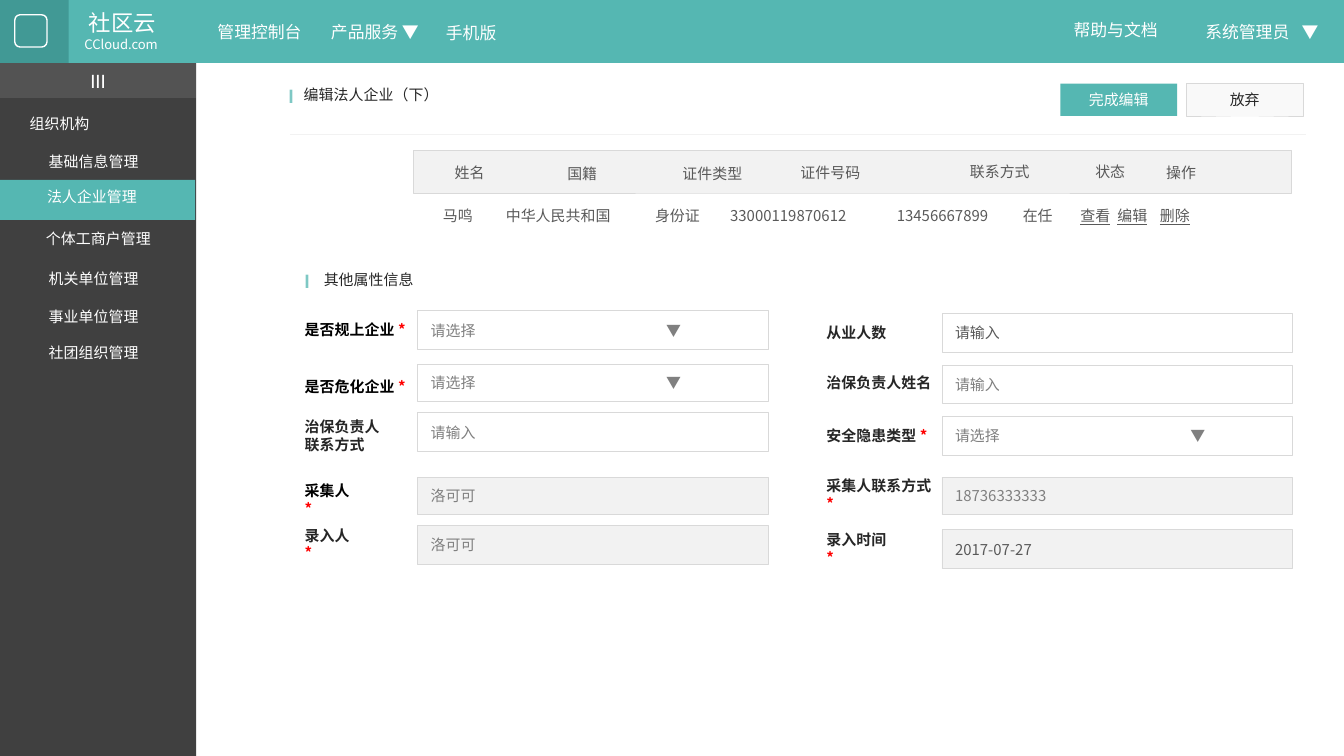
import pptx
import pptx.dml.color
import pptx.enum.shapes
import pptx.enum.text
import pptx.oxml.ns
import pptx.util
from lxml import etree

Cm = pptx.util.Cm
RGBColor = pptx.dml.color.RGBColor
SHAPE = pptx.enum.shapes.MSO_SHAPE
ALIGN = pptx.enum.text.PP_ALIGN
ANCHOR = pptx.enum.text.MSO_ANCHOR
qn = pptx.oxml.ns.qn

WHITE = RGBColor(0xFF, 0xFF, 0xFF)
BLACK = RGBColor(0x00, 0x00, 0x00)
INK = RGBColor(0x26, 0x26, 0x26)
DARK = RGBColor(0x40, 0x40, 0x40)
TEXT = RGBColor(0x59, 0x59, 0x59)
HINT = RGBColor(0x80, 0x80, 0x80)
BORDER = RGBColor(0xD9, 0xD9, 0xD9)
PALE = RGBColor(0xF2, 0xF2, 0xF2)
BUTTON = RGBColor(0xF9, 0xF9, 0xF9)
TEAL = RGBColor(0x55, 0xB7, 0xB2)
DEEP_TEAL = RGBColor(0x41, 0x99, 0x95)
LIGHT_TEAL = RGBColor(0x7E, 0xC8, 0xC4)
RED = RGBColor(0xFF, 0x00, 0x00)
CJK = "Noto Sans CJK SC"


def add_panel(shapes, box, fill=None, line=None, weight=0.25, kind=SHAPE.RECTANGLE):
    """Add a preset shape with an optional fill and outline."""
    panel = shapes.add_shape(kind, *map(Cm, box))
    panel.shadow.inherit = False
    if fill is None:
        panel.fill.background()
    else:
        panel.fill.solid()
        panel.fill.fore_color.rgb = fill
    if line is None:
        panel.line.fill.background()
    else:
        panel.line.color.rgb = line
        panel.line.width = pptx.util.Pt(weight)
    return panel


def set_tabs(paragraph, tabs):
    """Set left tab stops, given in centimetres."""
    tab_list = etree.SubElement(paragraph._p.get_or_add_pPr(), qn("a:tabLst"))
    for stop in tabs:
        etree.SubElement(tab_list, qn("a:tab"), pos=str(int(Cm(stop))), algn="l")


def add_text(holder, text, size=8, color=INK, bold=False, align=ALIGN.LEFT, anchor=ANCHOR.MIDDLE,
             font=CJK, tabs=(), inset=(0.25, 0.13)):
    """Write a string or (string, format) runs; a line feed starts a paragraph, \\v a line."""
    frame = holder.text_frame
    frame.word_wrap = True
    frame.vertical_anchor = anchor
    frame.margin_left = frame.margin_right = Cm(inset[0])
    frame.margin_top = frame.margin_bottom = Cm(inset[1])
    paragraph = frame.paragraphs[0]
    paragraph.alignment = align
    if tabs:
        set_tabs(paragraph, tabs)
    for words, style in [(text, {})] if isinstance(text, str) else text:
        for number, part in enumerate(words.split("\n")):
            if number:
                paragraph = frame.add_paragraph()
                paragraph.alignment = align
            if part.startswith("\v"):
                paragraph.add_line_break()
            run = paragraph.add_run()
            run.text = part.lstrip("\v")
            run.font.size = pptx.util.Pt(size)
            run.font.name = font
            run.font.bold = style.get("bold", bold)
            run.font.underline = style.get("underline", False)
            run.font.color.rgb = style.get("color", color)
            etree.SubElement(run.font._element, qn("a:ea"), typeface=font)


def add_label(shapes, text, box, **style):
    """Add a text box with formatted text."""
    add_text(shapes.add_textbox(*map(Cm, box)), text, **style)


def add_sidebar(slide, box):
    """Draw the dark navigation column."""
    left, top, width, height = box
    add_panel(slide.shapes, box, DARK)
    toggle = add_panel(slide.shapes, (left, top + 0.02, width, 0.66), WHITE)
    tint = toggle.fill._xPr.find(".//" + qn("a:srgbClr"))
    etree.SubElement(tint, qn("a:alpha"), val="10000")
    add_text(toggle, "III", size=11, color=WHITE, align=ALIGN.CENTER, font="Calibri")
    add_panel(slide.shapes, (left, top + 2.23, width - 0.02, 0.76), TEAL)
    menu = [("组织机构", 0.38, 0.89), ("基础信息管理", 0.74, 1.62), ("法人企业管理", 0.71, 2.28),
            ("个体工商户管理", 0.69, 3.07), ("机关单位管理", 0.74, 3.83),
            ("事业单位管理", 0.74, 4.55), ("社团组织管理", 0.74, 5.23)]
    for entry, x, y in menu:
        add_label(slide.shapes, entry, (left + x, top + y, 2.59, 0.53), color=WHITE,
                  anchor=ANCHOR.TOP, inset=(0.18, 0.1))


def add_header(slide, box):
    """Draw the top bar with the site name and its links."""
    left, top, width, height = box
    shapes = slide.shapes.add_group_shape().shapes
    add_panel(shapes, box, TEAL)
    add_panel(shapes, (left, top, 1.3, height), DEEP_TEAL)
    add_panel(shapes, (left + 0.28, top + 0.28, 0.61, 0.61), line=WHITE, weight=0.75,
              kind=SHAPE.ROUNDED_RECTANGLE)
    links = [("管理控制台", 3.61, 0.28, 2.59, 9),
             ([("产品服务 ", {}), ("▼", {"bold": True})], 5.89, 0.28, 2.39, 9),
             ("手机版", 7.9, 0.3, 2.01, 9), ("帮助与文档", 19.89, 0.25, 2.39, 9),
             ("社区云", 1.12, 0.05, 2.39, 12), ("CCloud.com", 1.07, 0.56, 2.44, 7)]
    for text, x, y, link_width, size in links:
        add_label(shapes, text, (left + x, top + y, link_width, 0.64), size=size,
                  color=WHITE, align=ALIGN.CENTER, anchor=ANCHOR.TOP)
    add_label(shapes, "系统管理员\t▼", (left + 22.53, top + 0.28, 2.79, 0.64), size=9,
              color=WHITE, anchor=ANCHOR.TOP, tabs=[1.82])


def add_heading(slide, title, box, gap):
    """Draw a section title after a short teal mark."""
    left, top, width, height = box
    add_label(slide.shapes, title, (left + gap, top + 0.04, width - gap, 0.61), anchor=ANCHOR.TOP)
    add_label(slide.shapes, "I", (left, top, 0.79, height), size=11, color=LIGHT_TEAL,
              bold=True, align=ALIGN.CENTER, font="Calibri")


def add_toolbar(slide, box):
    """Draw the two buttons and the rule below them."""
    left, top, width, height = box
    buttons = [("完成编辑", 4.6, TEAL, None, WHITE), ("放弃", 2.22, BUTTON, BORDER, INK)]
    for caption, from_right, fill, line, color in buttons:
        button_box = (left + width - from_right - 0.05, top, 2.21, 0.61)
        add_text(add_panel(slide.shapes, button_box, fill, line), caption, color=color,
                 align=ALIGN.CENTER)
    ends = (left, top + height, left + width, top + height)
    rule = slide.shapes.add_connector(pptx.enum.shapes.MSO_CONNECTOR.STRAIGHT, *map(Cm, ends))
    rule.line.color.rgb = PALE
    rule.line.width = pptx.util.Pt(0.25)
    etree.SubElement(rule._element.spPr, qn("a:effectLst"))


def add_people(slide, box):
    """Draw the heading band and the row of people below it."""
    left, top, width, height = box
    add_panel(slide.shapes, (left, top, width, 0.81), PALE, BORDER)
    columns = [("姓名", 0.05, 0.1, 2.01, ALIGN.CENTER), ("国籍", 1.98, 0.13, 2.41, ALIGN.CENTER),
               ("证件类型", 4.35, 0.13, 2.59, ALIGN.CENTER),
               ("证件号码", 6.58, 0.1, 2.59, ALIGN.CENTER),
               ("联系方式", 10.26, 0.08, 1.68, ALIGN.LEFT),
               ("状态", 12.63, 0.08, 1.68, ALIGN.LEFT), ("操作", 13.97, 0.1, 2.01, ALIGN.LEFT)]
    for title, x, y, column_width, align in columns:
        add_label(slide.shapes, title, (left + x, top + y, column_width, 0.64), color=TEXT,
                  align=align)
    person = [("\t马鸣\t中华人民共和国\t身份证\t33000119870612\t13456667899\t在任", {})]
    for action in ("查看", "编辑", "删除"):
        person += [("\t", {}), (action, {"underline": True})]
    add_label(slide.shapes, person, (left + 0.05, top + 0.87, width - 0.05, height - 0.87),
              color=TEXT, tabs=[0.25, 1.44, 4.26, 5.68, 8.83, 11.21, 12.3, 13, 13.8])


def add_form(slide, box):
    """Draw the labelled fields in two columns."""
    left, top, width, height = box
    choose = [("请选择\t", {}), ("▼", {"bold": True})]
    columns = [
        (0, 2.38, [("是否规上企业", " *", BLACK, 0.05, choose, HINT, None, 0, 0.74),
                   ("是否危化企业", " *", BLACK, 1.14, choose, HINT, None, 1.01, 0.71),
                   ("治保负责人\n联系方式", "", INK, 2.05, "请输入", HINT, None, 1.93, 0.74),
                   ("采集人", "\v*", BLACK, 3.27, "洛可可", HINT, PALE, 3.15, 0.71),
                   ("录入人", "\v*", INK, 4.11, "洛可可", HINT, PALE, 4.06, 0.74)]),
        (9.86, 12.29, [("从业人数", "", INK, 0.12, "请输入", TEXT, None, 0.05, 0.74),
                       ("治保负责人姓名", "", INK, 1.06, "请输入", HINT, None, 1.04, 0.71),
                       ("安全隐患类型", " *", INK, 2.05, choose, HINT, None, 2, 0.74),
                       ("采集人联系方式", "\v*", INK, 3.17, "18736333333", HINT, PALE, 3.15, 0.71),
                       ("录入时间", "\v*", INK, 4.19, "2017-07-27", TEXT, PALE, 4.14, 0.74)])]
    for label_x, field_x, fields in columns:
        for label, star, color, label_y, value, value_color, fill, field_y, field_height in fields:
            runs = [(label, {})] + ([(star, {"color": RED})] if star else [])
            add_label(slide.shapes, runs, (left + label_x, top + label_y, 2.64, 0.61),
                      color=color, bold=True)
            field_box = (left + field_x, top + field_y, width - 12.29, field_height)
            add_text(add_panel(slide.shapes, field_box, fill, BORDER), value,
                     color=value_color, tabs=[4.45])


def main():
    """Build the edit page and save it."""
    deck = pptx.Presentation()
    deck.slide_width, deck.slide_height = Cm(25.4), Cm(14.29)
    slide = deck.slides.add_slide(deck.slide_layouts[6])
    add_sidebar(slide, (0, 1.17, 3.71, 13.12))
    add_header(slide, (0, 0, 25.4, 1.19))
    add_heading(slide, "编辑法人企业（下）", (5.11, 1.45, 5.18, 0.69), 0.38)
    add_toolbar(slide, (5.49, 1.58, 19.2, 0.96))
    add_people(slide, (7.82, 2.84, 16.59, 1.61))
    add_heading(slide, "其他属性信息", (5.41, 4.95, 5.26, 0.69), 0.46)
    add_form(slide, (5.51, 5.87, 18.92, 4.88))
    deck.save("out.pptx")


if __name__ == "__main__":
    main()
